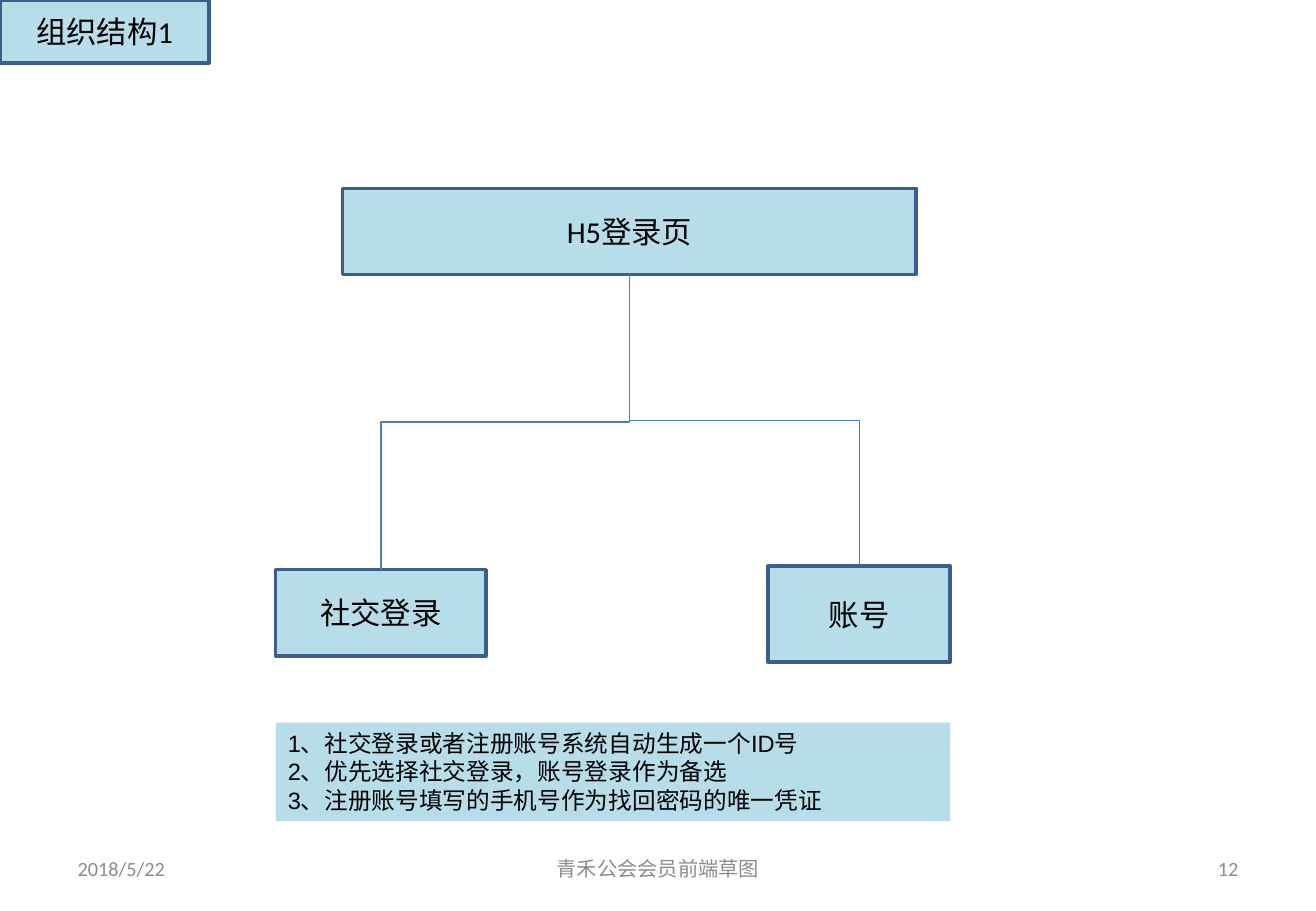
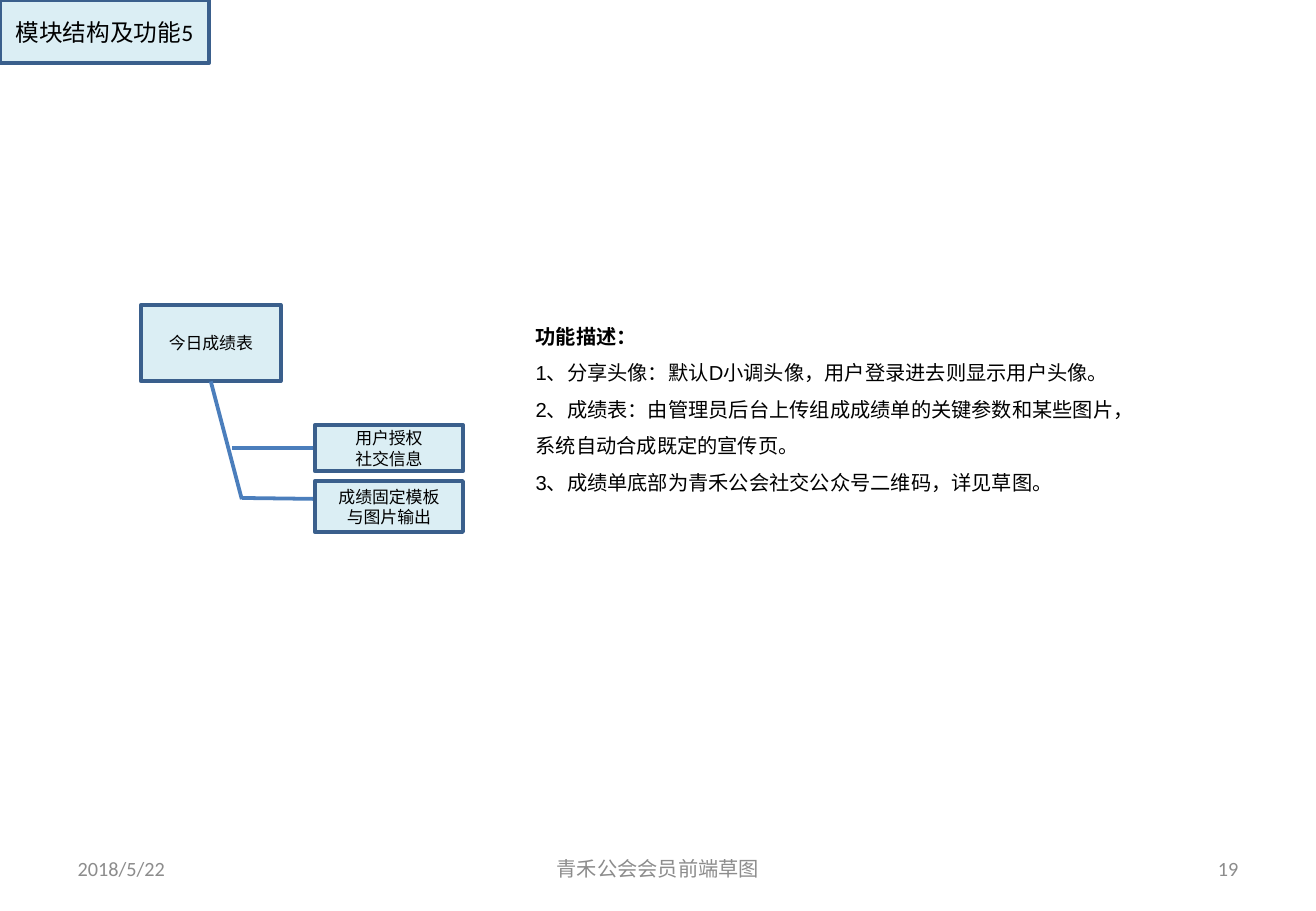
from lxml.etree import SubElement
from pptx import Presentation
from pptx.dml.color import RGBColor
from pptx.enum.shapes import MSO_CONNECTOR, MSO_SHAPE
from pptx.enum.text import MSO_ANCHOR, PP_ALIGN
from pptx.oxml.ns import qn
from pptx.util import Inches, Pt

CHART_FILL = RGBColor(0xB7, 0xDE, 0xE8)
MODULE_FILL = RGBColor(0xDB, 0xEE, 0xF4)
BORDER = RGBColor(0x3A, 0x5F, 0x8C)
LINK = RGBColor(0x4B, 0x7E, 0xBC)
BLACK = RGBColor(0, 0, 0)
GREY = RGBColor(0x8C, 0x8C, 0x8C)
DATE = "2018/5/22"
FOOTER = "青禾公会会员前端草图"
TAG_BOX = (0, 0, 1.72, 0.52)


def write(shape, lines, size, font="Calibri", color=BLACK, align=PP_ALIGN.CENTER,
          anchor=MSO_ANCHOR.MIDDLE, spacing=None):
    frame = shape.text_frame
    frame.word_wrap = True
    frame.vertical_anchor = anchor
    for index, line in enumerate(lines):
        paragraph = frame.add_paragraph() if index else frame.paragraphs[0]
        paragraph.text = line
        paragraph.alignment = align
        paragraph.line_spacing = spacing
        paragraph.font.size = Pt(size)
        paragraph.font.name = font
        paragraph.font.color.rgb = color
    return frame


def add_text(slide, box, lines, size, **style):
    return write(slide.shapes.add_textbox(*map(Inches, box)), lines, size, **style)


def add_box(slide, box, lines, size, fill, border=2.25, **style):
    shape = slide.shapes.add_shape(MSO_SHAPE.RECTANGLE, *map(Inches, box))
    shape.shadow.inherit = False
    shape.fill.solid()
    shape.fill.fore_color.rgb = fill
    if border:
        shape.line.color.rgb = BORDER
        shape.line.width = Pt(border)
    else:
        shape.line.fill.background()
    write(shape, lines, size, **style)
    return shape


def add_link(slide, kind, points, width):
    connector = slide.shapes.add_connector(kind, *points)
    connector.line.color.rgb = LINK
    connector.line.width = Pt(width)
    SubElement(connector._element.spPr, qn("a:effectLst"))
    return connector


def add_elbow(slide, parent, child):
    start_x, start_y = parent.left + parent.width // 2, parent.top + parent.height
    end_x, end_y = child.left + child.width // 2, child.top
    connector = add_link(slide, MSO_CONNECTOR.ELBOW, (start_x, start_y, end_x, end_y), 0.75)
    connector.begin_connect(parent, 2)
    connector.end_connect(child, 0)
    drop, reach = end_y - start_y, abs(end_x - start_x)
    connector.left = (start_x + end_x - drop) // 2
    connector.top = (start_y + end_y - reach) // 2
    connector.width, connector.height = drop, reach
    rightward = end_x > start_x
    frame = connector._element.spPr.find(qn("a:xfrm"))
    frame.set("rot", str((270 if rightward else 90) * 60000))
    frame.set("flipH", "1" if rightward else "0")
    frame.set("flipV", "0")


def add_footer(slide, number):
    for left, width, text, align in (
        (0.54, 2.53, DATE, PP_ALIGN.LEFT),
        (7.76, 2.53, str(number), PP_ALIGN.RIGHT),
        (3.7, 3.43, FOOTER, PP_ALIGN.CENTER),
    ):
        add_text(slide, (left, 6.95, width, 0.4), [text], 12, color=GREY, align=align)


def add_login_chart(slide, left, top):
    root = add_box(slide, (left + 0.55, top, 4.72, 0.71), ["H5登录页"], 18, CHART_FILL, 2)
    for x, y, width, height, text in (
        (0, 3.14, 1.73, 0.71, "社交登录"),
        (4.05, 3.11, 1.5, 0.79, "账号"),
    ):
        child = add_box(slide, (left + x, top + y, width, height), [text], 18, CHART_FILL, 2)
        add_elbow(slide, root, child)


def add_score_tree(slide, left, top):
    def line(*points):
        offsets = (left, top, left, top)
        ends = [Inches(offset + point) for offset, point in zip(offsets, points)]
        return add_link(slide, MSO_CONNECTOR.STRAIGHT, ends, 2.25)

    root = add_box(slide, (left, top, 1.15, 0.63), ["今日成绩表"], 10, MODULE_FILL)
    line(0.58, 0.63, 0.83, 1.6).begin_connect(root, 2)
    upper_branch = line(0.75, 1.18, 1.43, 1.18)
    line(0.83, 1.59, 1.64, 1.6)
    upper = add_box(slide, (left + 1.43, top + 0.99, 1.22, 0.38),
                    ["用户授权", "社交信息"], 10, MODULE_FILL)
    upper_branch.end_connect(upper, 1)
    add_box(slide, (left + 1.43, top + 1.45, 1.22, 0.42),
            ["成绩固定模板", "与图片输出"], 10, MODULE_FILL)


def build_login_slide(slide):
    add_login_chart(slide, 2.27, 1.55)
    add_box(slide, (2.27, 5.95, 5.55, 0.81), [
        "1、社交登录或者注册账号系统自动生成一个ID号\v2、优先选择社交登录，账号登录作为备选",
        "3、注册账号填写的手机号作为找回密码的唯一凭证",
    ], 14, CHART_FILL, None, font="Arial", align=PP_ALIGN.LEFT, anchor=MSO_ANCHOR.TOP)
    add_box(slide, TAG_BOX, ["组织结构1"], 18, CHART_FILL, 2)
    add_footer(slide, 12)


def build_module_slide(slide):
    add_box(slide, TAG_BOX, ["模块结构及功能5"], 14, MODULE_FILL)
    description = add_text(slide, (4.31, 2.52, 5.04, 1.62), [
        "功能描述：",
        "1、分享头像：默认D小调头像，用户登录进去则显示用户头像。",
        "2、成绩表：由管理员后台上传组成成绩单的关键参数和某些图片，系统自动合成既定的宣传页。",
        "3、成绩单底部为青禾公会社交公众号二维码，详见草图。",
    ], 12, font="Arial", align=PP_ALIGN.LEFT, anchor=MSO_ANCHOR.TOP, spacing=1.5)
    description.paragraphs[0].font.bold = True
    add_score_tree(slide, 1.16, 2.51)
    add_footer(slide, 19)


def main():
    presentation = Presentation()
    presentation.slide_width = Inches(10.83)
    presentation.slide_height = Inches(7.5)
    for build in (build_login_slide, build_module_slide):
        build(presentation.slides.add_slide(presentation.slide_layouts[6]))
    presentation.save("out.pptx")


if __name__ == "__main__":
    main()
